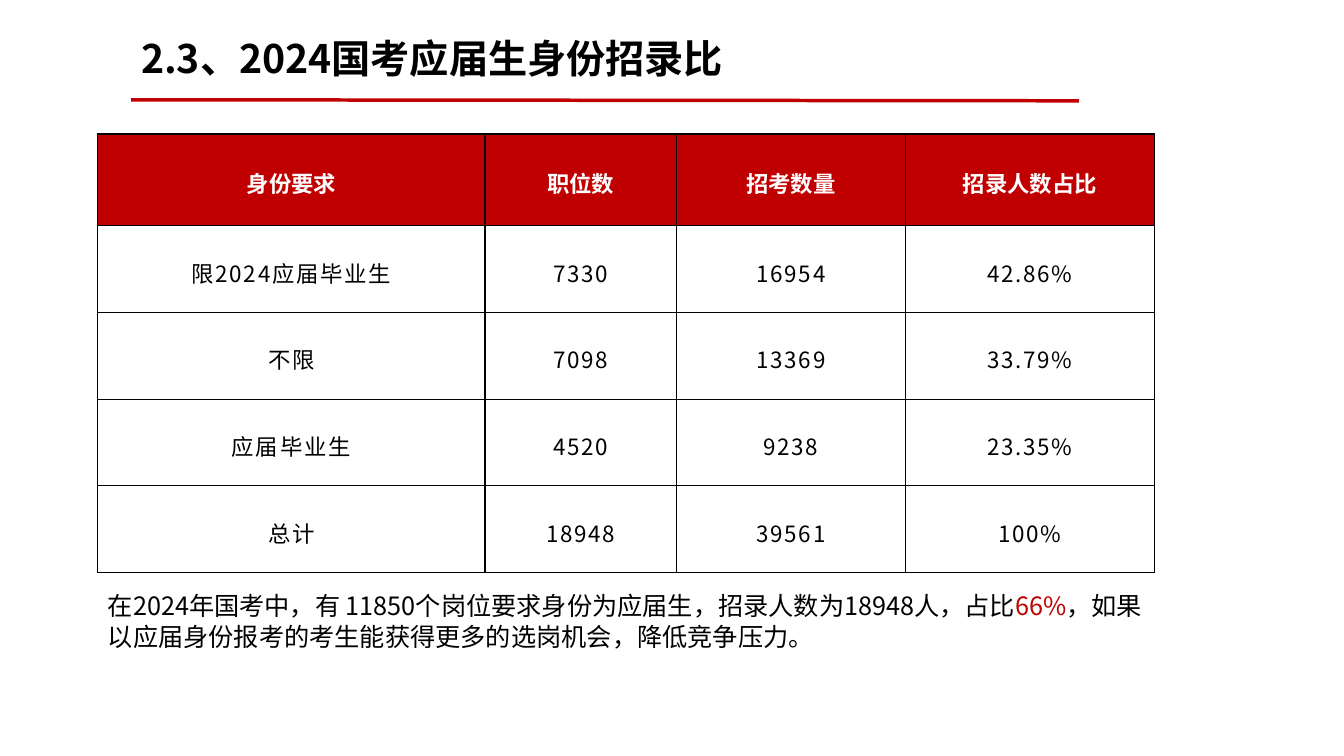
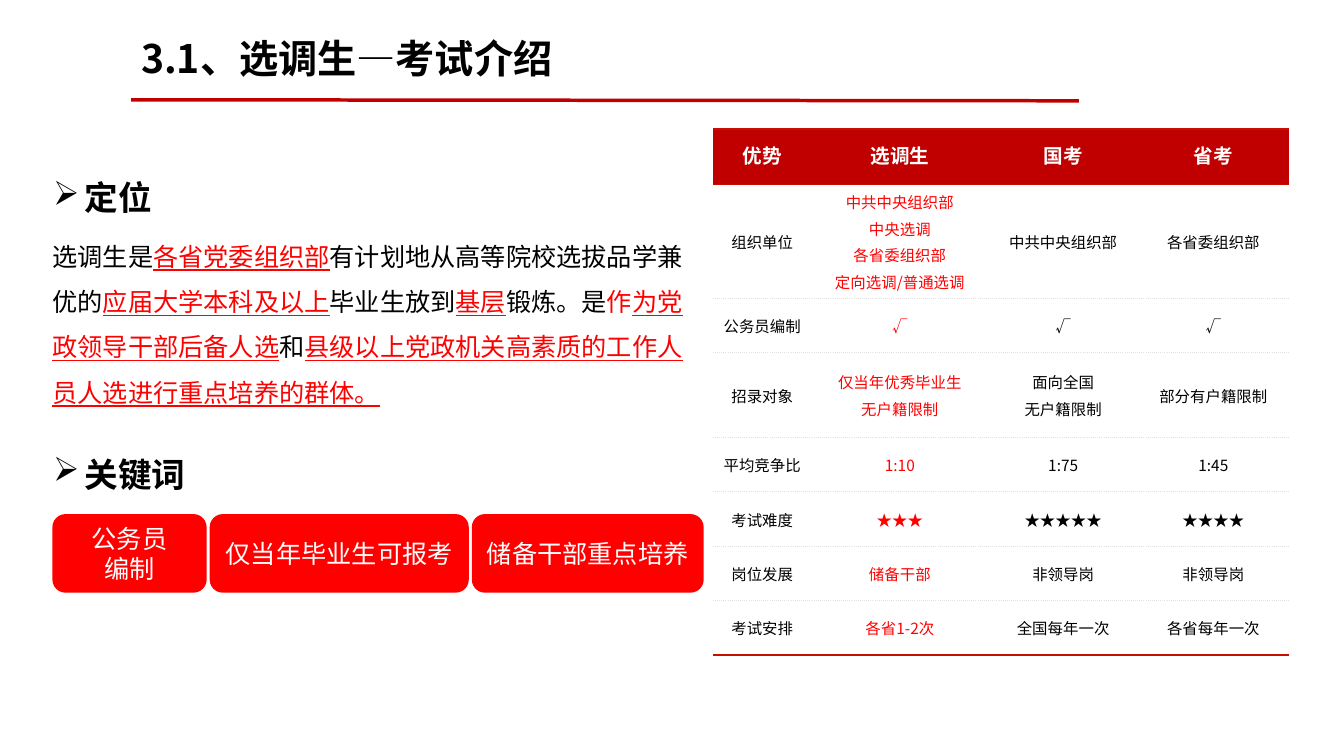
from lxml.etree import SubElement
from pptx import Presentation
from pptx.dml.color import RGBColor
from pptx.enum.shapes import MSO_CONNECTOR, MSO_SHAPE
from pptx.enum.text import MSO_ANCHOR, MSO_AUTO_SIZE, PP_ALIGN
from pptx.oxml.ns import qn
from pptx.util import Inches, Pt

FONT = "Noto Sans CJK SC"
BLACK = RGBColor(0x00, 0x00, 0x00)
WHITE = RGBColor(0xFF, 0xFF, 0xFF)
CRIMSON = RGBColor(0xC0, 0x00, 0x00)
RED = RGBColor(0xFF, 0x00, 0x00)
BRICK = RGBColor(0xC7, 0x0F, 0x00)
GRAY = RGBColor(0xE0, 0xE0, 0xE0)
PLAIN_GRID = "{2D5ABB26-0587-4C30-8999-92F81FD0307C}"


def style_run(run, size, color, bold=False):
    font = run.font
    font.name = FONT
    font.size = Pt(size)
    font.bold = bold
    font.color.rgb = color
    SubElement(font._element, qn("a:ea"), typeface=FONT)


def add_edge(cell, side, color, width, dash):
    line = SubElement(cell._tc.get_or_add_tcPr(), qn("a:ln" + side), w=str(Pt(width)))
    fill = SubElement(line, qn("a:solidFill"))
    SubElement(fill, qn("a:srgbClr"), val=str(color))
    SubElement(line, qn("a:prstDash"), val=dash)


deck = Presentation()
deck.slide_width = Inches(13.33)
deck.slide_height = Inches(7.5)

pages = [
    {
        "title": "2.3、2024国考应届生身份招录比",
        "body": (0.97, 5.81, 10.49, 0.89),
        "leading": 1.0,
        "runs": [
            ("在2024年国考中，有 11850个岗位要求身份为应届生，招录人数为18948人，占比", BLACK, False),
            ("66%", CRIMSON, False),
            ("，如果以应届身份报考的考生能获得更多的选岗机会，降低竞争压力。", BLACK, False),
        ],
        "place": (0.97, 1.33),
        "cols": [3.84, 1.9, 2.27, 2.47],
        "heights": [0.91] + [0.86] * 4,
        "rows": [
            ["身份要求", "职位数", "招考数量", "招录人数占比"],
            ["限2024应届毕业生", "7330", "16954", "42.86%"],
            ["不限", "7098", "13369", "33.79%"],
            ["应届毕业生", "4520", "9238", "23.35%"],
            ["总计", "18948", "39561", "100%"],
        ],
        "insets": (0.24, 0.15, 0.24, 0.15),
        "sizes": (16, 16),
        "head_leading": 1.2,
        "spacing": 130,
        "accent": BLACK,
        "sides": "LR",
        "strong": (BLACK, 1, "solid"),
        "light": (BLACK, 1, "solid"),
    },
    {
        "title": "3.1、选调生—考试介绍",
        "body": (0.42, 2.19, 6.55, 2.32),
        "leading": 1.5,
        "runs": [
            ("选调生是", BLACK, False),
            ("各省党委组织部", RED, True),
            ("有计划地从高等院校选拔品学兼优的", BLACK, False),
            ("应届大学本科及以上", RED, True),
            ("毕业生放到", BLACK, False),
            ("基层", RED, True),
            ("锻炼。是", BLACK, False),
            ("作", RED, False),
            ("为党政领导干部后备人选", RED, True),
            ("和", BLACK, False),
            ("县级以上党政机关高素质的工作人员人选进行重点培养的群体。", RED, True),
        ],
        "place": (7.07, 1.28),
        "cols": [0.98, 1.75, 1.49, 1.49],
        "heights": [0.55, 1.13, 0.54, 0.84] + [0.54] * 4,
        "rows": [
            ["优势", "选调生", "国考", "省考"],
            ["组织单位", "中共中央组织部\n中央选调\n各省委组织部\n定向选调/普通选调", "中共中央组织部", "各省委组织部"],
            ["公务员编制", "√", "√", "√"],
            ["招录对象", "仅当年优秀毕业生\n无户籍限制", "面向全国\n无户籍限制", "部分有户籍限制"],
            ["平均竞争比", "1:10", "1:75", "1:45"],
            ["考试难度", "★★★", "★★★★★", "★★★★"],
            ["岗位发展", "储备干部", "非领导岗", "非领导岗"],
            ["考试安排", "各省1-2次", "全国每年一次", "各省每年一次"],
        ],
        "insets": (0.01, 0.01, 0.01, 0.05),
        "sizes": (14, 11),
        "head_leading": 1.0,
        "spacing": 0,
        "accent": RED,
        "sides": "",
        "strong": (BRICK, 1, "solid"),
        "light": (GRAY, 0.5, "sysDot"),
    },
]

for page in pages:
    slide = deck.slides.add_slide(deck.slide_layouts[1])

    rule = slide.shapes.add_connector(
        MSO_CONNECTOR.STRAIGHT, Inches(1.3), Inches(0.99), Inches(10.7), Inches(1))
    rule.line.color.rgb = CRIMSON
    rule.line.width = Pt(2.5)
    SubElement(rule._element.spPr, qn("a:effectLst"))

    title = slide.shapes.title
    title.left, title.top = Inches(1.3), Inches(0.29)
    title.width, title.height = Inches(8.24), Inches(0.57)
    frame = title.text_frame
    frame.text = page["title"]
    frame.vertical_anchor = MSO_ANCHOR.TOP
    frame.auto_size = MSO_AUTO_SIZE.NONE
    frame.paragraphs[0].alignment = PP_ALIGN.LEFT
    style_run(frame.paragraphs[0].runs[0], 28, BLACK, True)

    body = slide.placeholders[1]
    body.left, body.top, body.width, body.height = map(Inches, page["body"])
    body.text_frame.auto_size = MSO_AUTO_SIZE.NONE
    para = body.text_frame.paragraphs[0]
    props = para._p.get_or_add_pPr()
    props.set("marL", "0")
    props.set("indent", "0")
    SubElement(props, qn("a:buNone"))
    para.space_before = Pt(0)
    para.line_spacing = page["leading"]
    for text, color, under in page["runs"]:
        run = para.add_run()
        run.text = text
        style_run(run, 18, color)
        run.font.underline = under

    rows, cols, heights = page["rows"], page["cols"], page["heights"]
    left, top = page["place"]
    table = slide.shapes.add_table(
        len(rows), len(cols), Inches(left), Inches(top),
        Inches(sum(cols)), Inches(sum(heights))).table
    table.horz_banding = False
    table._tbl.tblPr.find(qn("a:tableStyleId")).text = PLAIN_GRID
    for col, width in zip(table.columns, cols):
        col.width = Inches(width)
    for row, height in zip(table.rows, heights):
        row.height = Inches(height)

    strong = (0, 1, len(rows))
    for r, texts in enumerate(rows):
        head = r == 0
        for c, text in enumerate(texts):
            cell = table.cell(r, c)
            cell.text_frame.text = text
            cell.vertical_anchor = MSO_ANCHOR.MIDDLE
            (cell.margin_left, cell.margin_top,
             cell.margin_right, cell.margin_bottom) = map(Inches, page["insets"])
            for side in page["sides"]:
                add_edge(cell, side, *page["light"])
            for side, y in (("T", r), ("B", r + 1)):
                add_edge(cell, side, *page["strong" if y in strong else "light"])
            if head:
                cell.fill.solid()
                cell.fill.fore_color.rgb = CRIMSON
                color = WHITE
            else:
                cell.fill.background()
                color = page["accent"] if c == 1 else BLACK
            for para in cell.text_frame.paragraphs:
                para.alignment = PP_ALIGN.CENTER
                para.line_spacing = page["head_leading"] if head else 1.2
                run = para.runs[0]
                style_run(run, page["sizes"][0 if head else 1], color, head)
                if page["spacing"] and not head:
                    run.font._element.set("spc", str(page["spacing"]))

for text, top in (("定位", 1.71), ("关键词", 4.45)):
    box = slide.shapes.add_textbox(Inches(0.43), Inches(top), Inches(4.44), Inches(0.5))
    box.text_frame.word_wrap = True
    para = box.text_frame.paragraphs[0]
    para.text = text
    props = para._p.get_or_add_pPr()
    props.set("marL", str(Inches(0.31)))
    props.set("indent", str(-Inches(0.31)))
    SubElement(props, qn("a:buChar"), char="➢")
    style_run(para.runs[0], 24, BLACK, True)

left = 0.52
for text, width in (("公务员\n编制", 1.53), ("仅当年毕业生可报考", 2.57), ("储备干部重点培养", 2.3)):
    tag = slide.shapes.add_shape(
        MSO_SHAPE.ROUNDED_RECTANGLE, Inches(left), Inches(5.1), Inches(width), Inches(0.78))
    tag.shadow.inherit = False
    tag.fill.solid()
    tag.fill.fore_color.rgb = RED
    tag.line.fill.background()
    frame = tag.text_frame
    frame.text = text
    frame.word_wrap = True
    frame.vertical_anchor = MSO_ANCHOR.MIDDLE
    for para in frame.paragraphs:
        para.alignment = PP_ALIGN.CENTER
        style_run(para.runs[0], 18, WHITE)
    left += width + 0.03

deck.save("out.pptx")
